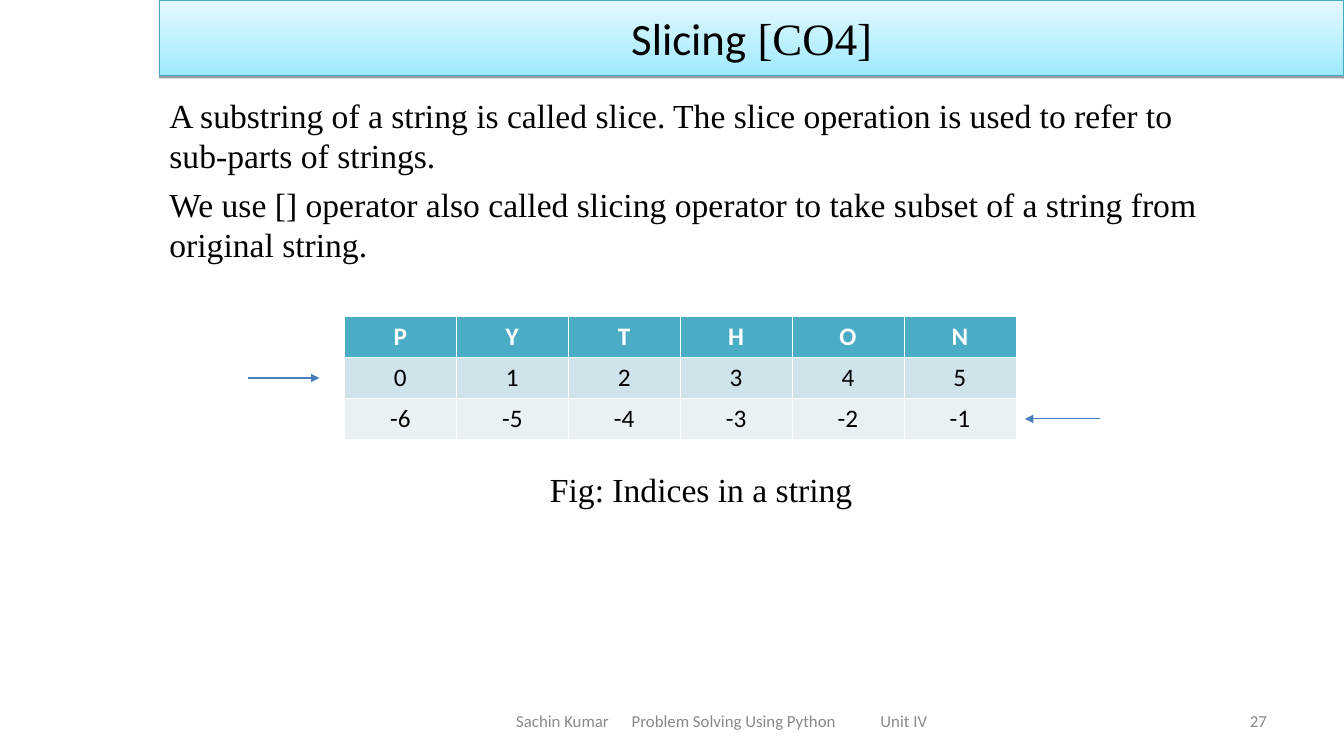
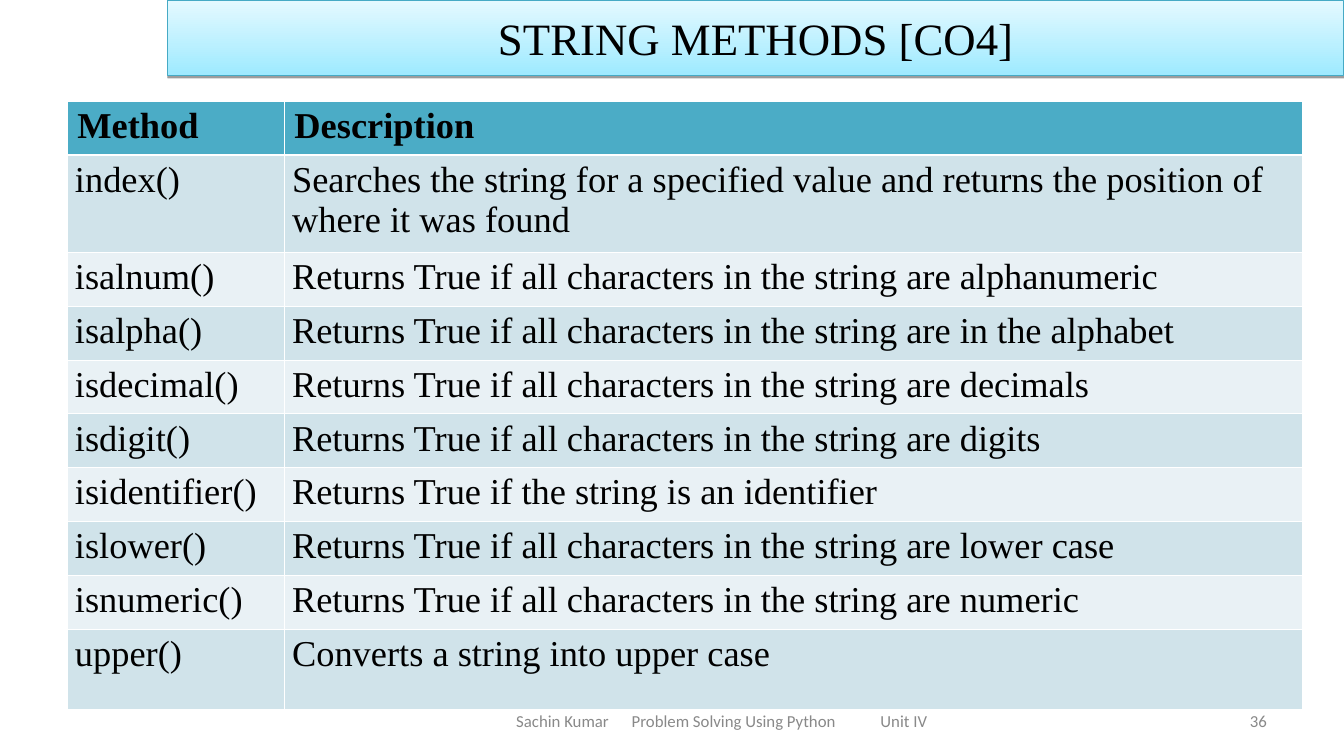
from lxml.etree import SubElement
from pptx import Presentation
from pptx.dml.color import RGBColor
from pptx.enum.shapes import MSO_CONNECTOR as Connector, MSO_SHAPE as Shape
from pptx.enum.text import MSO_ANCHOR as Anchor, PP_ALIGN as Align
from pptx.oxml import parse_xml
from pptx.oxml.ns import nsdecls, qn
from pptx.util import Cm, Pt

BLACK = RGBColor(0x00, 0x00, 0x00)
WHITE = RGBColor(0xFF, 0xFF, 0xFF)
GREY = RGBColor(0x89, 0x89, 0x89)
TEAL = RGBColor(0x4B, 0xAC, 0xC6)
PALE_TEAL = RGBColor(0xD0, 0xE3, 0xEA)
PALEST_TEAL = RGBColor(0xE9, 0xF1, 0xF5)
BAND_LINE = RGBColor(0x46, 0xAA, 0xC5)
BAND_BOTTOM = RGBColor(0x9E, 0xEA, 0xFF)
BAND_TOP = RGBColor(0xE4, 0xF9, 0xFF)
ARROW_BLUE = RGBColor(0x4A, 0x7E, 0xBB)

SANS, SERIF = "Calibri", "Times New Roman"
WIDTH, HEIGHT = Cm(33.87), Cm(19.05)
FOOTER_TOP, FOOTER_HEIGHT = Cm(17.65), Cm(1.02)
FOOTER = {"name": SANS, "size": Pt(12)}
BODY = {"name": SERIF, "size": Pt(24)}
INDEX_HEAD = {"name": SANS, "size": Pt(18), "bold": True}
INDEX_BODY = {"name": SANS, "size": Pt(18), "bold": False}
METHOD_HEAD = {"name": SERIF, "size": Pt(26), "bold": True}
METHOD_BODY = {"name": SERIF, "size": Pt(26), "bold": False}


def write(paragraph, text, style, color=BLACK, align=Align.LEFT):
    paragraph.alignment = align
    run = paragraph.add_run()
    run.text = text
    for key, value in style.items():
        setattr(run.font, key, value)
    run.font.color.rgb = color


def add_grid(slide, rows, left, top, widths, heights, head, body, head_color, align, body_margin):
    table = slide.shapes.add_table(len(rows), len(widths), left, top, sum(widths), sum(heights)).table
    table.horz_banding = False
    for column, width in zip(table.columns, widths):
        column.width = width
    for r, (texts, height) in enumerate(zip(rows, heights)):
        table.rows[r].height = height
        for c, text in enumerate(texts):
            cell = table.cell(r, c)
            cell.margin_left = cell.margin_right = body_margin if r else Cm(0.25)
            cell.fill.solid()
            cell.fill.fore_color.rgb = (PALEST_TEAL, PALE_TEAL)[r % 2] if r else TEAL
            write(cell.text_frame.paragraphs[0], text, body if r else head, BLACK if r else head_color, align)
            thick = {0: "lnB", 1: "lnT"}.get(r)
            for i, side in enumerate(("lnL", "lnR", "lnT", "lnB")):
                width = Pt(1.47) if side == thick else Pt(0.45)
                cell._tc.get_or_add_tcPr().insert(i, parse_xml(
                    f'<a:{side} {nsdecls("a")} w="{width}"><a:solidFill>'
                    f'<a:srgbClr val="{WHITE}"/></a:solidFill></a:{side}>'))


prs = Presentation()
prs.slide_width, prs.slide_height = WIDTH, HEIGHT

headings = [
    (Cm(4.02), [("Slicing", SANS), (" [CO4]", SERIF)], "27"),
    (Cm(4.23), [("STRING METHODS [CO4]", SERIF)], "36"),
]
for band_left, title, number in headings:
    slide = prs.slides.add_slide(prs.slide_layouts[6])
    band = slide.shapes.add_shape(Shape.RECTANGLE, band_left, Cm(0.01), WIDTH - band_left, Cm(1.9))
    band.fill.gradient()
    band.fill.gradient_angle = 90
    for stop, color, position in zip(band.fill.gradient_stops, (BAND_BOTTOM, BAND_TOP), (0, 1)):
        stop.color.rgb = color
        stop.position = position
    band.line.color.rgb = BAND_LINE
    band.line.width = Pt(0.75)
    band.shadow.inherit = False
    band._element.spPr.find(qn("a:effectLst")).append(parse_xml(
        f'<a:outerShdw {nsdecls("a")} blurRad="0" dist="{Pt(1.6)}" dir="5400000" rotWithShape="0">'
        f'<a:srgbClr val="{BLACK}"><a:alpha val="38000"/></a:srgbClr></a:outerShdw>'))
    band.text_frame.vertical_anchor = Anchor.MIDDLE
    for text, font_name in title:
        write(band.text_frame.paragraphs[0], text, {"name": font_name, "size": Pt(32)}, align=Align.CENTER)

    course = slide.shapes.add_textbox(Cm(12.76), FOOTER_TOP, Cm(12), FOOTER_HEIGHT)
    page = slide.shapes.add_textbox(Cm(24.28), FOOTER_TOP, Cm(7.9), FOOTER_HEIGHT)
    tabs = SubElement(course.text_frame.paragraphs[0]._p.get_or_add_pPr(), qn("a:tabLst"))
    for position in (Cm(2.91), Cm(9.18)):
        SubElement(tabs, qn("a:tab"), pos=str(position), algn="l")
    course_text = "Sachin Kumar\tProblem Solving Using Python\tUnit IV"
    for box, text, align in ((course, course_text, Align.LEFT), (page, number, Align.RIGHT)):
        box.text_frame.word_wrap = True
        box.text_frame.vertical_anchor = Anchor.MIDDLE
        write(box.text_frame.paragraphs[0], text, FOOTER, GREY, align)

slicing, methods = prs.slides

explanation = [
    "A substring of a string is called slice. The slice operation is used to refer to sub-parts of strings.",
    "We use [] operator also called slicing operator to take subset of a string from original string.",
]
caption = ["Fig: Indices in a string"]
for texts, top, height, align in (
    (explanation, Cm(2.26), Cm(4.8), Align.LEFT),
    (caption, Cm(11.68), Cm(1.3), Align.CENTER),
):
    frame = slicing.shapes.add_textbox(Cm(4.02), top, Cm(27.3), height).text_frame
    frame.word_wrap = True
    for i, text in enumerate(texts):
        paragraph = frame.add_paragraph() if i else frame.paragraphs[0]
        if i:
            paragraph.space_before = Pt(6)
        write(paragraph, text, BODY, align=align)

word = "PYTHON"
size = len(word)
index_rows = [list(word), [str(i) for i in range(size)], [str(i - size) for i in range(size)]]
index_top, index_row = Cm(7.98), Cm(1.03)
add_grid(slicing, index_rows, Cm(8.68), index_top, [Cm(2.82)] * size, [index_row] * 3,
         INDEX_HEAD, INDEX_BODY, WHITE, Align.CENTER, Cm(0.25))

for row, start, end in ((1, Cm(6.25), Cm(8.05)), (2, Cm(27.73), Cm(25.83))):
    y = index_top + int(index_row * (row + 0.5))
    arrow = slicing.shapes.add_connector(Connector.STRAIGHT, start, y, end, y)
    arrow.line.color.rgb = ARROW_BLUE
    arrow.line.width = Pt(0.75)
    SubElement(arrow.line._get_or_add_ln(), qn("a:tailEnd"), type="triangle")
    SubElement(arrow._element.spPr, qn("a:effectLst"))

all_chars = "Returns True if all characters in the string are "
method_rows = [
    ("Method", "Description"),
    ("index()", "Searches the string for a specified value and returns the position of where it was found"),
    ("isalnum()", all_chars + "alphanumeric"),
    ("isalpha()", all_chars + "in the alphabet"),
    ("isdecimal()", all_chars + "decimals"),
    ("isdigit()", all_chars + "digits"),
    ("isidentifier()", "Returns True if the string is an identifier"),
    ("islower()", all_chars + "lower case"),
    ("isnumeric()", all_chars + "numeric"),
    ("upper()", "Converts a string into upper case"),
]
method_heights = [Cm(1.33), Cm(2.44)] + [Cm(1.34)] * 7 + [Cm(2.03)]
add_grid(methods, method_rows, Cm(1.7), Cm(2.55), [Cm(5.47), Cm(25.65)], method_heights,
         METHOD_HEAD, METHOD_BODY, BLACK, Align.LEFT, Cm(0.19))

prs.save("out.pptx")
